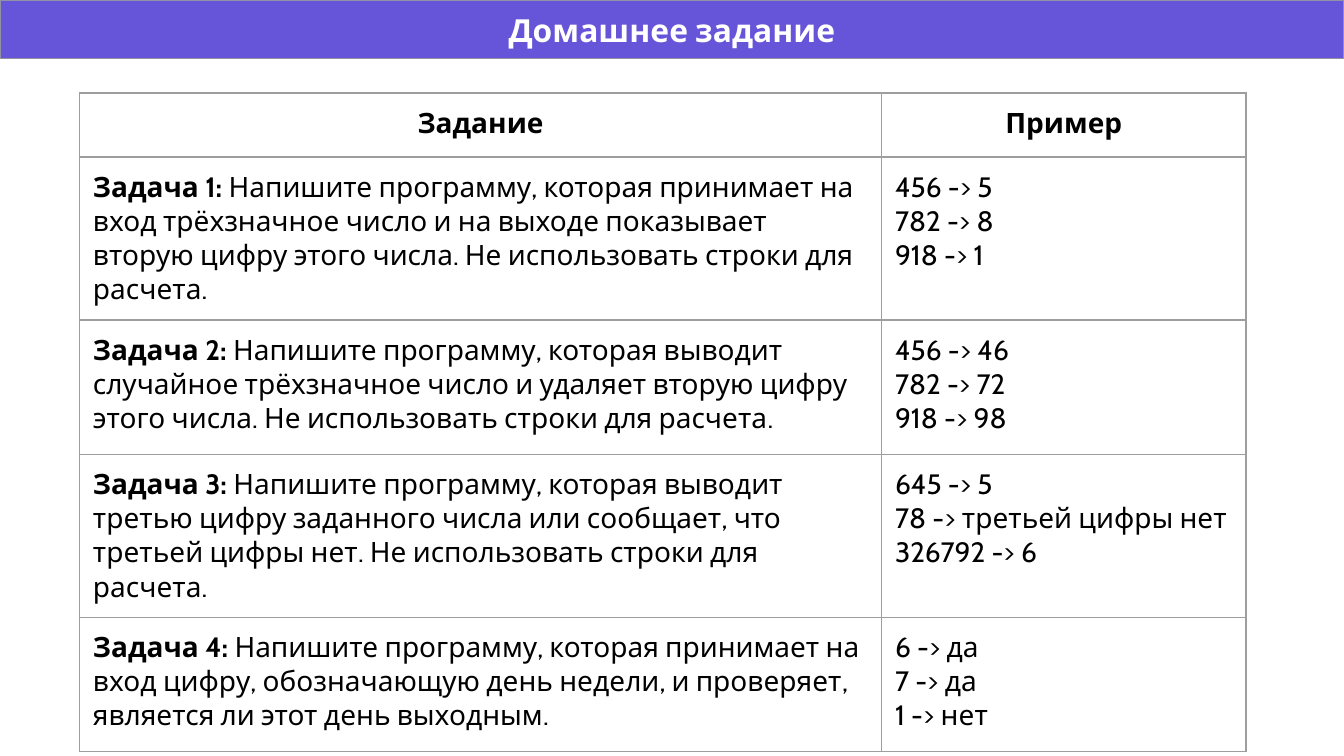
from lxml import etree
from pptx import Presentation
from pptx.dml.color import RGBColor
from pptx.enum.shapes import MSO_SHAPE
from pptx.enum.text import MSO_ANCHOR, PP_ALIGN
from pptx.oxml.ns import qn
from pptx.util import Pt

RECT = MSO_SHAPE.RECTANGLE
MIDDLE = MSO_ANCHOR.MIDDLE
LEFT, CENTER = PP_ALIGN.LEFT, PP_ALIGN.CENTER
FONT = "Cabin"
PAD = Pt(7.2)
COLORS = {"bar": "6654D9", "edge": "8F93A3", "grid": "9E9E9E",
          "white": "FFFFFF", "black": "000000"}


def style(para, size, color, bold, align):
    para.alignment = align
    para.font.name = FONT
    para.font.size = Pt(size)
    para.font.bold = bold
    para.font.color.rgb = RGBColor.from_string(COLORS[color])


def border(cell):
    props = cell._tc.get_or_add_tcPr()
    for side in ("lnL", "lnR", "lnT", "lnB"):
        line = etree.SubElement(props, qn(f"a:{side}"), w=str(Pt(0.75)))
        fill = etree.SubElement(line, qn("a:solidFill"))
        etree.SubElement(fill, qn("a:srgbClr"), val=COLORS["grid"])


tasks = [
    ("Напишите программу, которая принимает на вход трёхзначное число и на выходе "
     "показывает вторую цифру этого числа. Не использовать строки для расчета.",
     ["456 -> 5", "782 -> 8", "918 -> 1"]),
    ("Напишите программу, которая выводит случайное трёхзначное число и удаляет "
     "вторую цифру этого числа. Не использовать строки для расчета.",
     ["456 -> 46", "782 -> 72", "918 -> 98"]),
    ("Напишите программу, которая выводит третью цифру заданного числа или сообщает, "
     "что третьей цифры нет. Не использовать строки для расчета.",
     ["645 -> 5", "78 -> третьей цифры нет", "326792 -> 6"]),
    ("Напишите программу, которая принимает на вход цифру, обозначающую день недели, "
     "и проверяет, является ли этот день выходным.",
     ["6 -> да", "7 -> да", "1 -> нет"]),
]

deck = Presentation()
deck.slide_width, deck.slide_height = Pt(720), Pt(405)
slide = deck.slides.add_slide(deck.slide_layouts[6])

bar = slide.shapes.add_shape(RECT, 0, 0, Pt(720), Pt(31.5))
bar.shadow.inherit = False
bar.fill.solid()
bar.fill.fore_color.rgb = RGBColor.from_string(COLORS["bar"])
bar.line.color.rgb = RGBColor.from_string(COLORS["edge"])
bar.line.width = Pt(0.75)
frame = bar.text_frame
frame.word_wrap = True
frame.vertical_anchor = MIDDLE
frame.margin_left = frame.margin_right = PAD
frame.margin_top = frame.margin_bottom = PAD
frame.text = "Домашнее задание"
style(frame.paragraphs[0], 17, "white", True, CENTER)

widths = [429.7, 195.2]
heights = [34.3] + [72] * len(tasks)
table = slide.shapes.add_table(len(heights), len(widths), Pt(42.6), Pt(49.8),
                               Pt(sum(widths)), Pt(sum(heights))).table
table.first_row = table.horz_banding = False
for col, width in zip(table.columns, widths):
    col.width = Pt(width)
for row, height in zip(table.rows, heights):
    row.height = Pt(height)

for col, head in enumerate(["Задание", "Пример"]):
    table.cell(0, col).text = head
for num, (task, lines) in enumerate(tasks, 1):
    para = table.cell(num, 0).text_frame.paragraphs[0]
    label = para.add_run()
    label.text = f"Задача {num}: "
    label.font.bold = True
    para.add_run().text = task
    table.cell(num, 1).text = "\n".join(lines)

for num, row in enumerate(table.rows):
    for cell in row.cells:
        border(cell)
        cell.fill.background()
        cell.margin_left = cell.margin_right = PAD
        cell.margin_top = cell.margin_bottom = PAD
        for para in cell.text_frame.paragraphs:
            style(para, 15, "black", num == 0, LEFT if num else CENTER)

deck.save("out.pptx")
